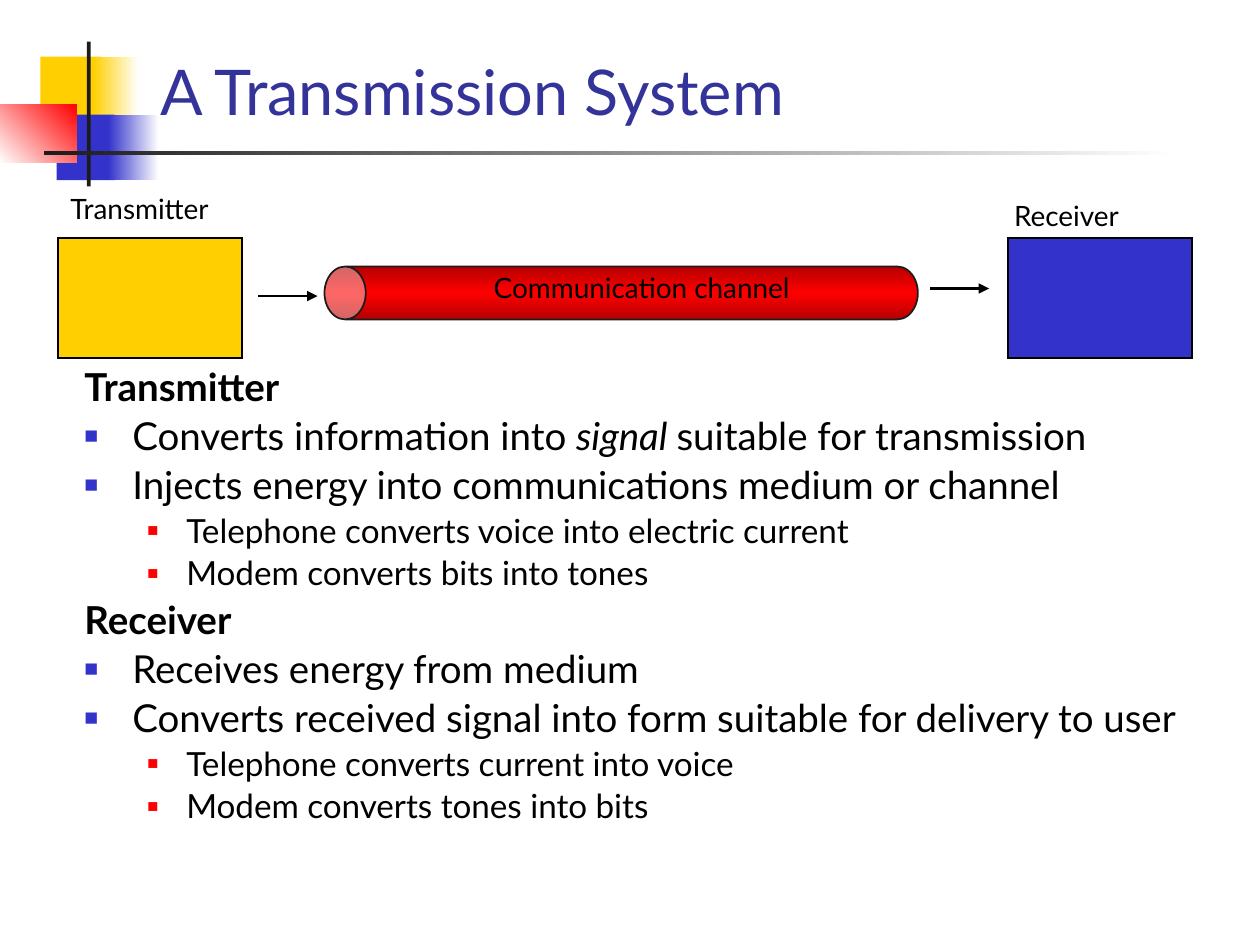
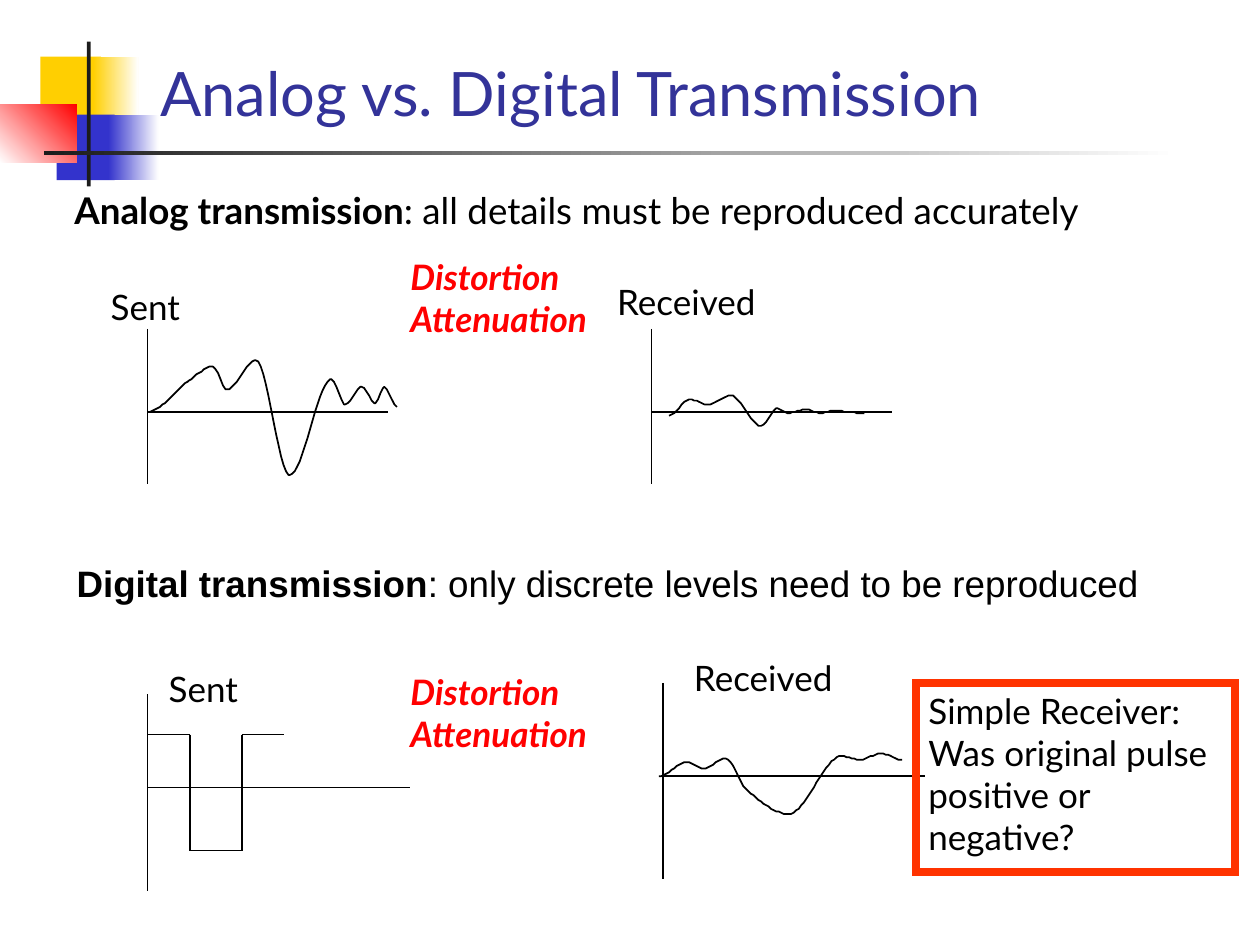
"""Build two slides on sending signals, with one shared band and title style."""

import copy
import itertools
from dataclasses import dataclass, replace

import pptx
import pptx.dml.color
import pptx.enum.shapes
import pptx.enum.text
import pptx.oxml
import pptx.oxml.ns
import pptx.presentation
import pptx.shapes.autoshape
import pptx.shapes.base
import pptx.slide
import pptx.text.text
import pptx.util
from lxml import etree

PX = 9144
BLACK, DARK, WHITE = "000000", "1C1C1C", "FFFFFF"
GOLD, BLUE, RED, NAVY = "FFCF01", "3333CC", "FF0000", "333399"
MAROON, ORANGE = "B60000", "FF3300"
SHAPE = pptx.enum.shapes.MSO_SHAPE
ANCHOR = pptx.enum.text.MSO_ANCHOR
FIT = pptx.enum.text.MSO_AUTO_SIZE
STEP = 2
Point = tuple[int, int]


@dataclass(frozen=True)
class Box:
    left: int
    top: int
    width: int
    height: int


@dataclass(frozen=True)
class Band:
    box: Box
    fills: tuple[str, ...]
    angle: int = 0


@dataclass(frozen=True)
class Run:
    text: str
    bold: bool | None = None
    slant: bool | None = None


@dataclass(frozen=True)
class Para:
    runs: tuple[Run, ...]
    size: int = 20
    color: str = BLACK
    face: str = "Lato"
    bold: bool = False
    slant: bool = False
    level: int = 0
    left: int = 0
    hang: int = 0
    mark: str = ""
    share: int = 60
    pitch: float = 1.0
    gap: float = 0


@dataclass(frozen=True)
class Label:
    box: Box
    paras: tuple[Para, ...]
    wrap: bool = False


@dataclass(frozen=True)
class Axes:
    left: int
    mid: int
    above: int
    below: int
    width: int


@dataclass(frozen=True)
class Wave:
    axes: Axes
    knots: tuple[Point, ...]


@dataclass(frozen=True)
class Pulse:
    axes: Axes
    high: int
    low: int
    turns: tuple[int, ...]


BANDS = (
    Band(Box(32, 45, 48, 52), (GOLD,)),
    Band(Box(74, 45, 36, 52), (GOLD, WHITE)),
    Band(Box(45, 91, 46, 52), (BLUE,)),
    Band(Box(86, 91, 40, 52), (BLUE, WHITE)),
    Band(Box(0, 83, 61, 46), (WHITE, RED), 45),
    Band(Box(69, 33, 3, 115), (DARK,)),
    Band(Box(35, 120, 900, 3), (DARK, WHITE)),
)

SMOOTH = Axes(117, 327, 66, 57, 191)
SENT = Wave(SMOOTH, (
    (0, 0), (33, 25), (52, 36), (63, 18), (86, 41), (113, -50),
    (146, 26), (157, 6), (170, 20), (181, 7), (188, 20), (198, 4)))
FADED = Wave(replace(SMOOTH, left=517), (
    (14, -3), (30, 10), (45, 6), (63, 13), (87, -11), (100, 3),
    (108, -1), (123, 2), (134, -1), (145, 1), (169, -1)))
SQUARE = Axes(117, 625, 74, 82, 208)
CRISP = Pulse(SQUARE, 42, -50, (0, 34, 75, 108))
BLURRED = Wave(replace(SQUARE, left=526, mid=616), (
    (-3, 0), (19, 11), (32, 6), (50, 14), (66, -10), (100, -30),
    (142, 16), (157, 13), (173, 18), (190, 13)))


def tint(value: str) -> pptx.dml.color.RGBColor:
    return pptx.dml.color.RGBColor.from_string(value)


def add(parent: etree._Element, tag: str, **traits: str) -> etree._Element:
    return etree.SubElement(parent, pptx.oxml.ns.qn(tag), traits)


def place(shape: pptx.shapes.base.BaseShape, box: Box) -> None:
    shape.left, shape.top = box.left * PX, box.top * PX
    shape.width, shape.height = box.width * PX, box.height * PX


def paint(shape: pptx.shapes.autoshape.Shape, fills: tuple[str, ...], angle: int = 0) -> None:
    if not fills:
        shape.fill.background()
    elif len(fills) == 1:
        shape.fill.solid()
        shape.fill.fore_color.rgb = tint(fills[0])
    else:
        shape.fill.gradient()
        shape.fill.gradient_angle = angle
        first = shape.element.xpath(".//a:gs")[0]
        for _ in fills[2:]:
            first.addnext(copy.deepcopy(first))
        for rank, (stop, color) in enumerate(zip(shape.fill.gradient_stops, fills)):
            stop.color.rgb = tint(color)
            stop.position = rank / (len(fills) - 1)


def draw(slide: pptx.slide.Slide, band: Band, kind: SHAPE = SHAPE.RECTANGLE,
         edge: str = "", weight: float = 1) -> pptx.shapes.autoshape.Shape:
    shape = slide.shapes.add_shape(kind, 0, 0, 0, 0)
    place(shape, band.box)
    shape.shadow.inherit = False
    paint(shape, band.fills, band.angle)
    if edge:
        shape.line.color.rgb = tint(edge)
        shape.line.width = pptx.util.Pt(weight)
        add(shape.element.spPr.find(pptx.oxml.ns.qn("a:ln")), "a:miter", lim="800000")
    else:
        shape.line.fill.background()
    return shape


def join(slide: pptx.slide.Slide, start: Point, end: Point,
         weight: float = 1, arrow: bool = False) -> None:
    line = slide.shapes.add_connector(
        pptx.enum.shapes.MSO_CONNECTOR.STRAIGHT, *(n * PX for n in start + end))
    line.line.color.rgb = tint(BLACK)
    line.line.width = pptx.util.Pt(weight)
    props = line.element.spPr
    add(props, "a:effectLst")
    if arrow:
        add(props.find(pptx.oxml.ns.qn("a:ln")), "a:tailEnd", type="triangle")


def slopes(knots: tuple[Point, ...]) -> list[float]:
    """Level the curve at its ends, peaks and dips; elsewhere follow the neighbours."""
    inner = []
    for (x0, y0), (_, y1), (x2, y2) in zip(knots, knots[1:], knots[2:]):
        turns = (y1 - y0) * (y2 - y1) <= 0
        inner.append(0 if turns else (y2 - y0) / (x2 - x0))
    return [0, *inner, 0]


def bend(knots: tuple[Point, ...]) -> list[tuple[float, float]]:
    """Fill in a smooth cubic curve through the knots."""
    points = []
    ends = zip(knots, slopes(knots))
    for ((x0, y0), m0), ((x1, y1), m1) in itertools.pairwise(ends):
        span = x1 - x0
        for x in range(x0, x1, STEP):
            t = (x - x0) / span
            ease = t * t * (3 - 2 * t)
            pull = t * (1 - t) * span * (m0 * (1 - t) - m1 * t)
            points.append((x, y0 + (y1 - y0) * ease + pull))
    return [*points, knots[-1]]


def plot(slide: pptx.slide.Slide, axes: Axes) -> None:
    left, mid = axes.left, axes.mid
    join(slide, (left, mid - axes.above), (left, mid + axes.below))
    join(slide, (left, mid), (left + axes.width, mid))


def trace(slide: pptx.slide.Slide, wave: Wave) -> None:
    plot(slide, wave.axes)
    points = [(wave.axes.left + x, wave.axes.mid - y) for x, y in bend(wave.knots)]
    pen = slide.shapes.build_freeform(*points[0], scale=PX)
    pen.add_line_segments(points[1:], close=False)
    curve = pen.convert_to_shape()
    curve.shadow.inherit = False
    curve.fill.background()
    curve.line.color.rgb = tint(BLACK)
    curve.line.width = pptx.util.Pt(1)


def beat(slide: pptx.slide.Slide, pulse: Pulse) -> None:
    plot(slide, pulse.axes)
    levels = itertools.cycle((pulse.high, pulse.low))
    points = [(pulse.axes.left + x, pulse.axes.mid - level)
              for span, level in zip(itertools.pairwise(pulse.turns), levels) for x in span]
    for start, end in itertools.pairwise(points):
        join(slide, start, end)


def dent(line: pptx.text.text._Paragraph, para: Para) -> None:
    props = line._p.get_or_add_pPr()
    props.set("marL", str(para.left * PX))
    props.set("indent", str(-para.hang * PX))
    if not para.mark:
        add(props, "a:buNone")
        return
    add(add(props, "a:buClr"), "a:srgbClr", val=para.mark)
    add(props, "a:buSzPct", val=str(para.share * 1000))
    add(props, "a:buChar", char="■")


def write(frame: pptx.text.text.TextFrame, paras: tuple[Para, ...],
          anchor: ANCHOR = ANCHOR.TOP, fit: FIT = FIT.NONE, wrap: bool = True) -> None:
    frame.word_wrap, frame.auto_size, frame.vertical_anchor = wrap, fit, anchor
    for rank, para in enumerate(paras):
        line = frame.add_paragraph() if rank else frame.paragraphs[0]
        line.level = para.level
        dent(line, para)
        line.alignment = pptx.enum.text.PP_ALIGN.LEFT
        line.line_spacing = para.pitch
        line.space_before = pptx.util.Pt(para.gap if rank else 0)
        font = line.font
        font.name, font.size = para.face, pptx.util.Pt(para.size)
        font.bold, font.italic = para.bold, para.slant
        font.color.rgb = tint(para.color)
        for part in para.runs:
            run = line.add_run()
            run.text = part.text
            if part.bold is not None:
                run.font.bold = part.bold
            if part.slant is not None:
                run.font.italic = part.slant


def stamp(slide: pptx.slide.Slide, label: Label) -> None:
    shape = slide.shapes.add_textbox(0, 0, 0, 0)
    place(shape, label.box)
    fit = FIT.NONE if label.wrap else FIT.SHAPE_TO_FIT_TEXT
    write(shape.text_frame, label.paras, fit=fit, wrap=label.wrap)


def plain(text: str, size: int = 20) -> Para:
    return Para((Run(text),), size)


def point(*runs: Run) -> Para:
    return Para(runs, 22, left=38, hang=38, mark=BLUE, pitch=0.9, gap=4.4)


def head(text: str) -> Para:
    return replace(point(Run(text)), bold=True, mark="")


def minor(text: str) -> Para:
    return Para((Run(text),), 19, level=1, left=81, hang=31, mark=RED, share=55, pitch=0.9, gap=3.8)


def claim(term: str, rest: str, face: str = "Lato") -> Para:
    return Para((Run(term, bold=True), Run(rest)), 21, face=face, left=38, hang=38, pitch=0.75)


def begin(deck: pptx.presentation.Presentation, title: str, size: int,
          box: Box, paras: tuple[Para, ...]) -> pptx.slide.Slide:
    slide = deck.slides.add_slide(deck.slide_layouts[1])
    for band in BANDS:
        draw(slide, band)
    name, body = slide.shapes.title, slide.placeholders[1]
    place(name, Box(117, 33, 852, 74))
    write(name.text_frame, (replace(plain(title, size), color=NAVY),), ANCHOR.BOTTOM)
    place(body, box)
    write(body.text_frame, paras)
    return slide


def system(deck: pptx.presentation.Presentation) -> None:
    slide = begin(deck, "A Transmission System", 36, Box(57, 287, 900, 431), (
        head("Transmitter"),
        point(Run("Converts information into "), Run("signal ", slant=True),
              Run("suitable for transmission")),
        point(Run("Injects energy into communications medium or channel")),
        minor("Telephone converts voice into electric current"),
        minor("Modem converts bits into tones"),
        head("Receiver"),
        point(Run("Receives energy from medium")),
        point(Run("Converts received signal into form suitable for delivery to user")),
        minor("Telephone converts current into voice"),
        minor("Modem converts tones into bits"),
    ))
    for left, color in ((46, GOLD), (800, BLUE)):
        draw(slide, Band(Box(left, 189, 146, 95), (color,)), edge=BLACK)
    pipe = draw(slide, Band(Box(472, -3, 42, 471), (MAROON, RED, MAROON)), SHAPE.CAN, DARK)
    pipe.rotation = 270
    pipe.adjustments[0] = 0.78
    for text, box in (("Transmitter", Box(46, 147, 147, 40)),
                      ("Receiver", Box(795, 153, 119, 40)),
                      ("Communication channel", Box(382, 210, 288, 40))):
        stamp(slide, Label(box, (plain(text, 16),)))
    for left, top in ((205, 235), (738, 229)):
        join(slide, (left, top), (left + 47, top), 1.5, True)


def compare(deck: pptx.presentation.Presentation) -> None:
    slide = begin(deck, "Analog vs. Digital Transmission", 35, Box(49, 152, 893, 55), (
        claim("Analog transmission", ": all details must be reproduced accurately"),))
    for wave in (SENT, FADED, BLURRED):
        trace(slide, wave)
    beat(slide, CRISP)
    for text, left, top, width in (("Sent", 78, 222, 77), ("Sent", 124, 525, 77),
                                   ("Received", 480, 218, 136), ("Received", 541, 516, 136)):
        stamp(slide, Label(Box(left, top, width, 43), (plain(text),)))
    harms = tuple(replace(plain(text), color=RED, bold=True, slant=True)
                  for text in ("Distortion", "Attenuation"))
    for top in (198, 527):
        stamp(slide, Label(Box(316, top, 174, 77), harms))
    stamp(slide, Label(Box(51, 448, 893, 48), (
        claim("Digital transmission", ": only discrete levels need to be reproduced", "Arial"),), True))
    callout = draw(slide, Band(Box(727, 542, 253, 150), ()), edge=ORANGE, weight=4.5)
    write(callout.text_frame, (plain("Simple Receiver: Was original pulse positive or negative?"),))


def main() -> None:
    deck = pptx.Presentation()
    deck.slide_width, deck.slide_height = 1000 * PX, 750 * PX
    system(deck)
    compare(deck)
    deck.save("out.pptx")


if __name__ == "__main__":
    main()
